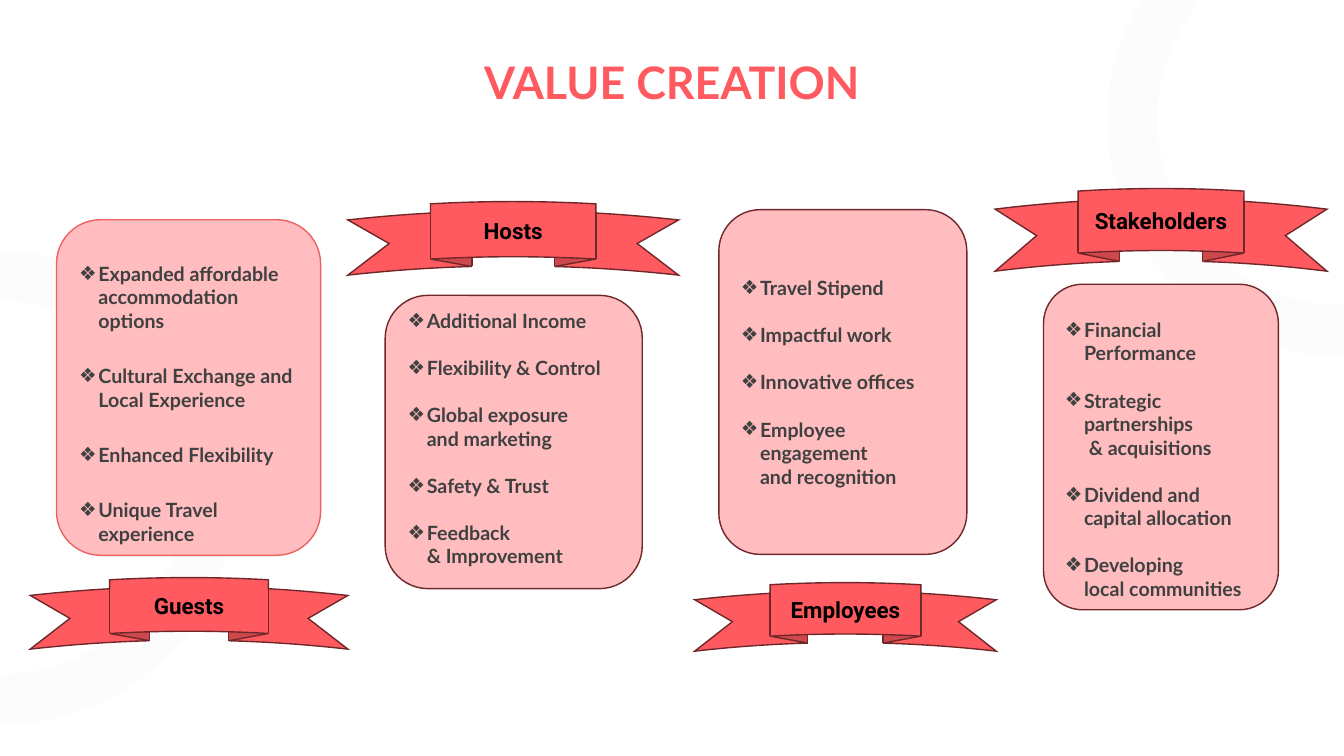
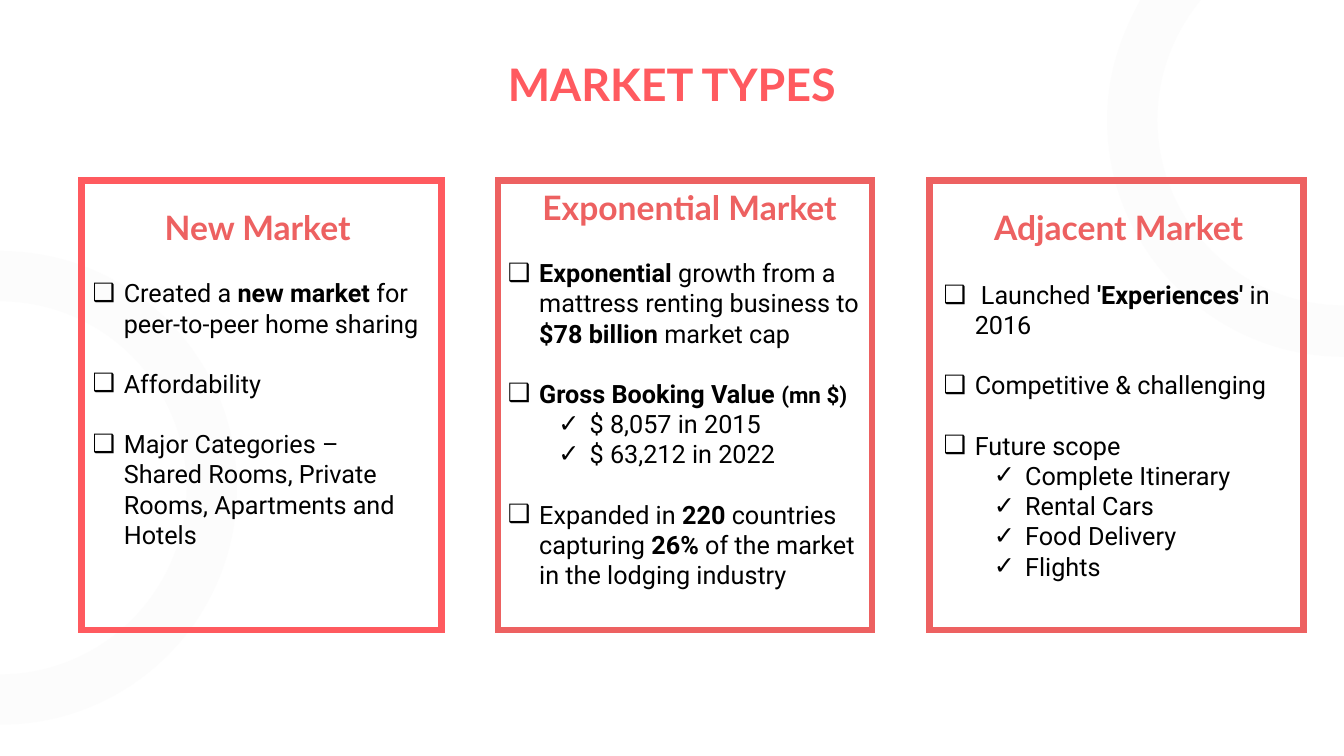
from lxml import etree
from pptx import Presentation
from pptx.dml.color import RGBColor
from pptx.enum.shapes import MSO_SHAPE
from pptx.enum.text import MSO_ANCHOR, PP_ALIGN
from pptx.oxml.ns import qn
from pptx.util import Inches, Pt

ROUND, RIBBON, RECT = (MSO_SHAPE.ROUNDED_RECTANGLE, MSO_SHAPE.CURVED_UP_RIBBON,
                       MSO_SHAPE.RECTANGLE)
TOP, MIDDLE = MSO_ANCHOR.TOP, MSO_ANCHOR.MIDDLE
LEFT, CENTER = PP_ALIGN.LEFT, PP_ALIGN.CENTER

THEME = {
    "coral": RGBColor(0xFF, 0x5A, 0x5F),
    "rose": RGBColor(0xED, 0x61, 0x61),
    "blush": RGBColor(0xFF, 0xBD, 0xBF),
    "wine": RGBColor(0x70, 0x27, 0x2A),
    "gray": RGBColor(0x40, 0x40, 0x40),
    "black": RGBColor(0, 0, 0),
    "haze": RGBColor(0xF2, 0xF2, 0xF2),
    "title": {"name": "Lato", "size": Pt(32), "bold": True},
    "head": {"name": "Lato", "size": Pt(24), "bold": True},
    "label": {"name": "Roboto", "size": Pt(16), "bold": True},
    "point": {"name": "Lato", "size": Pt(14), "bold": True},
    "body": {"name": "Roboto", "size": Pt(18), "bold": False},
}
# First sign of a run: "*" is bold, "^" is bold and smaller
MARKS = {"*": {"bold": True}, "^": {"bold": True, "size": Pt(16)}}


def write(para, runs, style, color, align=LEFT, bullet=None, indent=0, hang=0, **gaps):
    """Fill one paragraph; gaps are spacing attributes of the paragraph."""
    para.alignment = align
    for key, value in gaps.items():
        setattr(para, key, value)
    if bullet:
        props = para._p.get_or_add_pPr()
        props.set("marL", str(Inches(indent)))
        props.set("indent", str(-Inches(hang)))
        etree.SubElement(props, qn("a:buFont")).set("typeface", "Roboto")
        etree.SubElement(props, qn("a:buChar")).set("char", bullet)
    for text in runs:
        extra = MARKS.get(text[0], {})
        for i, line in enumerate(text[bool(extra):].split("\n")):
            if i:
                para.add_line_break()
            run = para.add_run()
            run.text = line
            run.font.color.rgb = color
            for key, value in {**THEME[style], **extra}.items():
                setattr(run.font, key, value)


def draw(slide, kind, place, line, width, fill=None):
    shape = slide.shapes.add_shape(kind, *map(Inches, place))
    shape.shadow.inherit = False
    shape.line.color.rgb = line
    shape.line.width = Pt(width)
    edge = shape.element.find(".//" + qn("a:ln"))
    etree.SubElement(edge, qn("a:miter")).set("lim", "800000")
    if fill:
        shape.fill.solid()
        shape.fill.fore_color.rgb = fill
    else:
        shape.fill.background()
    shape.text_frame.word_wrap = True
    return shape


prs = Presentation()
prs.slide_width, prs.slide_height = Inches(13.33), Inches(7.5)
blank = prs.slide_layouts[6]
slides = []
for text, place in [("VALUE CREATION", (1.07, 0.43, 11.19, 0.82)),
                    ("MARKET TYPES", (1.08, 0.45, 11.17, 0.82))]:
    slide = prs.slides.add_slide(blank)
    frame = slide.shapes.add_textbox(*map(Inches, place)).text_frame
    frame.word_wrap = True
    frame.vertical_anchor = MIDDLE
    write(frame.paragraphs[0], [text], "title", THEME["coral"], CENTER, line_spacing=0.9)
    slides.append(slide)
value, market = slides

# Pale rings shared through the layout: two curves, a line, two curves back
rings = [
    [(0, 2.49), (1.3, 2.49), (2.35, 3.54), (2.35, 4.84),
     (2.35, 6.14), (1.3, 7.19), (0, 7.19), (0, 6.69),
     (1.02, 6.69), (1.85, 5.86), (1.85, 4.84), (1.85, 3.82), (1.02, 2.99), (0, 2.99)],
    [(11.91, 0), (11.64, 0.33), (11.48, 0.74), (11.48, 1.19),
     (11.48, 2.21), (12.31, 3.03), (13.33, 3.03), (13.33, 3.54),
     (12.03, 3.54), (10.98, 2.48), (10.98, 1.19), (10.98, 0.78), (11.09, 0.4), (11.31, 0)],
]
for spots in rings:
    dots = [(Inches(x), Inches(y)) for x, y in spots]
    pen = value.shapes.build_freeform(*dots[0])
    pen.add_line_segments(dots[1:])
    ring = pen.convert_to_shape()
    ring.shadow.inherit = False
    ring.line.fill.background()
    ring.fill.solid()
    ring.fill.fore_color.rgb = THEME["haze"]
    tint = ring.element.find(".//" + qn("a:srgbClr"))
    etree.SubElement(tint, qn("a:alpha")).set("val", "20000")
    # Each three line ends become the control points of one curve
    lines = ring.element.findall(".//" + qn("a:lnTo"))
    for i in (0, 3, 7, 10):
        curve = etree.Element(qn("a:cubicBezTo"))
        lines[i].addprevious(curve)
        for line in lines[i:i + 3]:
            curve.append(line[0])
            line.getparent().remove(line)
    blank.shapes.element.append(ring.element)

# Value creation: card, its edge, top inset, gap, points, ribbon, label
groups = [
    ((0.56, 2.18, 2.62, 3.33), "rose", 0.29, 22.6,
     ["Expanded affordable accommodation options",
      "Cultural Exchange and Local Experience",
      "Enhanced Flexibility", "Unique Travel experience"],
     (0.3, 5.73, 3.15, 0.71), "Guests"),
    ((3.82, 2.93, 2.55, 2.91), "wine", 0.01, 16.8,
     ["Additional Income", "Flexibility & Control", "Global exposure\nand marketing",
      "Safety & Trust", "Feedback\n& Improvement"],
     (3.45, 2, 3.28, 0.73), "Hosts"),
    ((7.13, 2.08, 2.46, 3.42), "wine", 0.54, 16.8,
     ["Travel Stipend", "Impactful work", "Innovative offices",
      "Employee\nengagement\nand recognition"],
     (6.89, 5.78, 2.99, 0.68), "Employees"),
    ((10.35, 2.82, 2.33, 3.23), "wine", 0.22, 16.8,
     ["Financial Performance", "Strategic partnerships\n & acquisitions",
      "Dividend and\ncapital allocation", "Developing\nlocal communities"],
     (9.87, 1.87, 3.29, 0.82), "Stakeholders"),
]
for place, edge, inset, gap, points, band, label in groups:
    frame = draw(value, ROUND, place, THEME[edge], 1, THEME["blush"]).text_frame
    frame.vertical_anchor = TOP
    frame.margin_top, frame.margin_bottom = Inches(inset), 0
    for i, point in enumerate(points):
        para = frame.add_paragraph() if i else frame.paragraphs[0]
        write(para, [point], "point", THEME["gray"], bullet="❖", indent=0.19, hang=0.19,
              space_before=Pt(gap if i else 0))
    frame = draw(value, RIBBON, band, THEME["wine"], 1, THEME["coral"]).text_frame
    frame.vertical_anchor = MIDDLE
    write(frame.paragraphs[0], [label], "label", THEME["black"], CENTER)

# Market types: frame, its edge, text place, heading, gap below it, rows of (level, runs)
panels = [
    ((0.81, 1.79, 3.57, 4.46), "coral", (0.82, 2.08, 3.47, 3.15), "New Market", 22,
     [(0, ["Created a ", "*new market", " for peer-to-peer home sharing"]),
      (0, ["Affordability"]),
      (0, ["Major Categories – Shared Rooms, Private Rooms, Apartments and Hotels"])]),
    ((4.94, 1.79, 3.71, 4.46), "rose", (4.94, 1.88, 3.8, 4.37), "Exponential Market", 22,
     [(0, ["*Exponential", " growth from a mattress renting business to ",
           "*$78 billion", " market cap"]),
      (0, ["*Gross Booking Value ", "^(mn $)"]),
      (1, ["$ 8,057 in 2015"]),
      (1, ["$ 63,212 in 2022"]),
      (0, ["Expanded in ", "*220", " countries capturing ", "*26%",
           " of the market in the lodging industry"])]),
    ((9.22, 1.79, 3.71, 4.46), "rose", (9.26, 2.08, 3.67, 3.78), "Adjacent Market", 23.2,
     [(0, [" Launched ", "*'Experiences' ", "in 2016"]),
      (0, ["Competitive & challenging"]),
      (0, ["Future scope"]),
      (1, ["Complete Itinerary"]),
      (1, ["Rental Cars"]),
      (1, ["Food Delivery"]),
      (1, ["Flights"])]),
]
for place, edge, area, head, gap, rows in panels:
    frame = market.shapes.add_textbox(*map(Inches, area)).text_frame
    frame.word_wrap = True
    write(frame.paragraphs[0], [head], "head", THEME["rose"], CENTER, line_spacing=0.8)
    for i, (level, runs) in enumerate(rows):
        space = 0 if level else 21.4 if i else gap
        write(frame.add_paragraph(), runs, "body", THEME["black"], bullet="❑✓"[level],
              indent=0.31 + level / 2, hang=0.31, level=level, space_before=Pt(space))
    draw(market, RECT, place, THEME[edge], 4.5)

prs.save("out.pptx")
